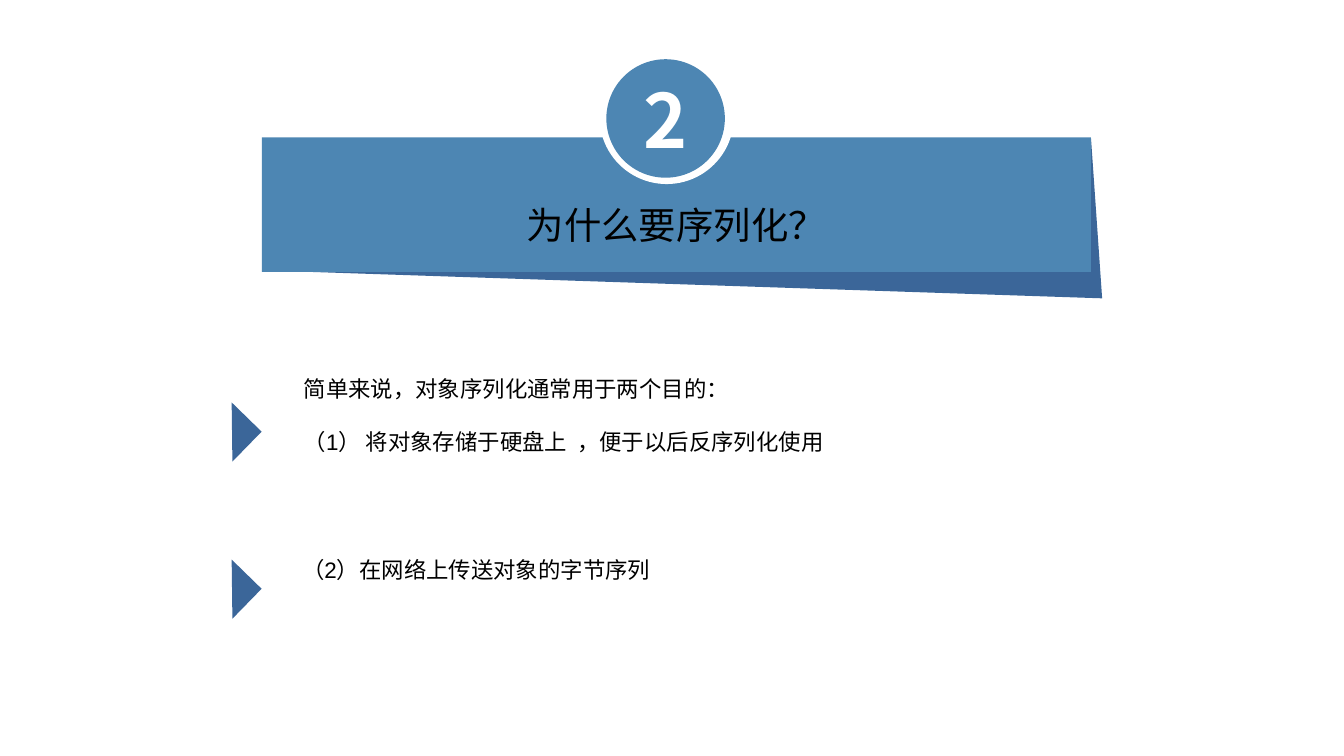
from pptx import Presentation
from pptx.dml.color import RGBColor
from pptx.enum.shapes import MSO_SHAPE
from pptx.enum.text import MSO_ANCHOR, PP_ALIGN
from pptx.util import Cm, Pt

BLUE = RGBColor(0x4D, 0x86, 0xB3)
DARK_BLUE = RGBColor(0x3B, 0x66, 0x99)
WHITE = RGBColor(0xFF, 0xFF, 0xFF)
BLACK = RGBColor(0x00, 0x00, 0x00)

deck = Presentation()
deck.slide_width = Cm(25.4)
deck.slide_height = Cm(14.29)
page = deck.slides.add_slide(deck.slide_layouts[6])


def paint(shape, color):
    shape.shadow.inherit = False
    shape.fill.solid()
    shape.fill.fore_color.rgb = color
    shape.line.fill.background()


def write(paragraph, text, size, color=BLACK, name="Arial"):
    paragraph.text = text
    paragraph.font.size = Pt(size)
    paragraph.font.name = name
    paragraph.font.color.rgb = color


# Slanted fold behind the banner
outline = page.shapes.build_freeform(Cm(4.95), Cm(5.11))
outline.add_line_segments([(Cm(20.62), Cm(2.62)), (Cm(20.83), Cm(5.64))], close=True)
paint(outline.convert_to_shape(), DARK_BLUE)

# Banner, with its title kept below the number circle
banner = page.shapes.add_shape(MSO_SHAPE.RECTANGLE, Cm(4.95), Cm(2.6), Cm(15.67), Cm(2.54))
paint(banner, BLUE)
banner.text_frame.margin_top = Cm(0.89)

# Number circle with a white ring
ring = page.shapes.add_shape(MSO_SHAPE.OVAL, Cm(11.33), Cm(0.94), Cm(2.54), Cm(2.54))
paint(ring, WHITE)
circle = page.shapes.add_shape(MSO_SHAPE.OVAL, Cm(11.46), Cm(1.12), Cm(2.24), Cm(2.24))
paint(circle, BLUE)

for shape, text, size, color, name in [
    (banner, "为什么要序列化？", 20, BLACK, "Arial"),
    (circle, "2", 40, WHITE, "Noto Sans CJK SC"),
]:
    frame = shape.text_frame
    frame.word_wrap = False
    frame.vertical_anchor = MSO_ANCHOR.MIDDLE
    frame.paragraphs[0].alignment = PP_ALIGN.CENTER
    write(frame.paragraphs[0], text, size, color, name)
circle.text_frame.paragraphs[0].font.bold = True

# The two purposes, each with a triangular marker
purposes = [
    (5.49, 6.96, 14.43, 2.29, 7.77,
     ["简单来说，对象序列化通常用于两个目的：",
      "（1） 将对象存储于硬盘上  ，便于以后反序列化使用"]),
    (5.46, 10.39, 16, 1.27, 10.74, ["（2）在网络上传送对象的字节序列"]),
]
for left, top, width, height, marker_top, lines in purposes:
    box = page.shapes.add_textbox(Cm(left), Cm(top), Cm(width), Cm(height))
    frame = box.text_frame
    frame.word_wrap = True
    for index, line in enumerate(lines):
        paragraph = frame.add_paragraph() if index else frame.paragraphs[0]
        write(paragraph, line, 12)
        if index:
            paragraph.space_before = Pt(14)

    marker = page.shapes.add_shape(
        MSO_SHAPE.RIGHT_TRIANGLE, Cm(3.99), Cm(marker_top), Cm(0.79), Cm(0.79))
    marker.rotation = 224.3
    paint(marker, DARK_BLUE)

deck.save("out.pptx")
